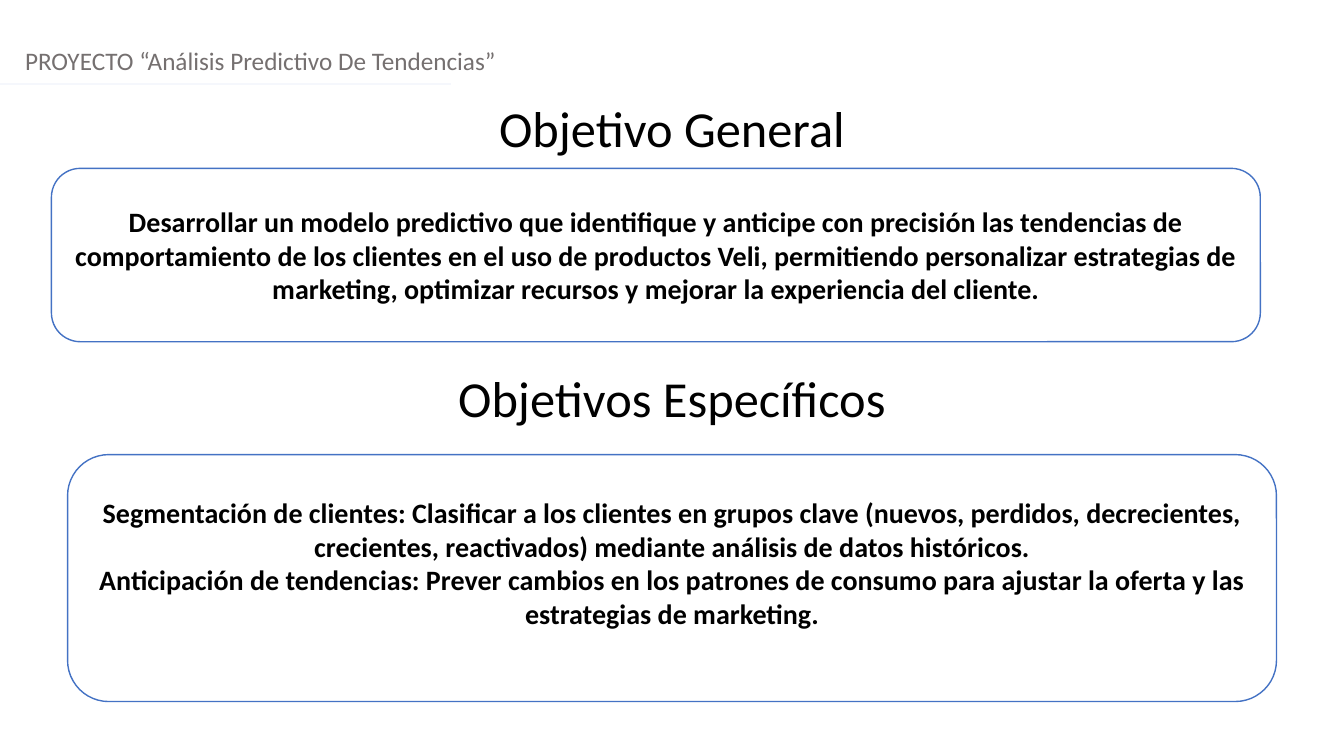
from lxml import etree
from pptx import Presentation
from pptx.dml.color import RGBColor
from pptx.enum.shapes import MSO_CONNECTOR, MSO_SHAPE
from pptx.enum.text import MSO_ANCHOR, MSO_AUTO_SIZE, PP_ALIGN
from pptx.oxml.ns import qn
from pptx.util import Pt

PX = 9144  # EMU per px, 100 px to the inch
PAGE_WIDTH, PAGE_HEIGHT = 1333, 750
LEFT, CENTER = PP_ALIGN.LEFT, PP_ALIGN.CENTER
TOP, MIDDLE = MSO_ANCHOR.TOP, MSO_ANCHOR.MIDDLE


def color(value):
    return RGBColor.from_string(value)


def write(shape, lines, size, ink="000000", align=CENTER, anchor=TOP, bold=False, bottom=5):
    frame = shape.text_frame
    frame.word_wrap = True
    frame.auto_size = MSO_AUTO_SIZE.NONE
    frame.vertical_anchor = anchor
    frame.margin_left = frame.margin_right = 10 * PX
    frame.margin_top, frame.margin_bottom = 5 * PX, bottom * PX
    frame.text = "\n".join(lines)
    for para in frame.paragraphs:
        para.alignment = align
        para.line_spacing = 1.0
        para.space_before = Pt(0)
        font = para.font
        font.name, font.size, font.bold = "Calibri", Pt(size), bold
        font.color.rgb = color(ink)


deck = Presentation()
deck.slide_width, deck.slide_height = PAGE_WIDTH * PX, PAGE_HEIGHT * PX
page = deck.slides.add_slide(deck.slide_layouts[5])
shapes = page.shapes

# Project header and its rule
header = shapes.add_textbox(15 * PX, 40 * PX, 1318 * PX, 40 * PX)
write(header, ["PROYECTO “Análisis Predictivo De Tendencias”"], 18, "757070", LEFT)

rule = shapes.add_connector(MSO_CONNECTOR.STRAIGHT, 0, 83 * PX, 447 * PX, 83 * PX)
rule.line.color.rgb = color("F5F7FC")
rule.line.width = Pt(1.25)
etree.SubElement(rule.element.spPr, qn("a:effectLst"))

# Section headings
general = shapes.title
general.left, general.top = 0, 91 * PX
general.width, general.height = PAGE_WIDTH * PX, 71 * PX
write(general, ["Objetivo General"], 36)

specific = shapes.add_textbox(0, 359 * PX, PAGE_WIDTH * PX, 71 * PX)
write(specific, ["Objetivos Específicos"], 36)

# Objective cards: left, top, height, bottom margin, paragraphs
cards = [
    (51, 167, 172, 5, [
        "Desarrollar un modelo predictivo que identifique y anticipe con precisión las "
        "tendencias de comportamiento de los clientes en el uso de productos Veli, "
        "permitiendo personalizar estrategias de marketing, optimizar recursos y mejorar "
        "la experiencia del cliente."]),
    (67, 451, 245, 35, [
        "Segmentación de clientes: Clasificar a los clientes en grupos clave (nuevos, "
        "perdidos, decrecientes, crecientes, reactivados) mediante análisis de datos "
        "históricos.",
        "Anticipación de tendencias: Prever cambios en los patrones de consumo para "
        "ajustar la oferta y las estrategias de marketing."]),
]
for left, top, height, bottom, lines in cards:
    card = shapes.add_shape(MSO_SHAPE.ROUNDED_RECTANGLE,
                            left * PX, top * PX, 1199 * PX, height * PX)
    card.shadow.inherit = False
    card.fill.solid()
    card.fill.fore_color.rgb = color("FFFFFF")
    card.line.color.rgb = color("4472C4")
    card.line.width = Pt(1)
    write(card, lines, 20, anchor=MIDDLE, bold=True, bottom=bottom)

deck.save("out.pptx")
